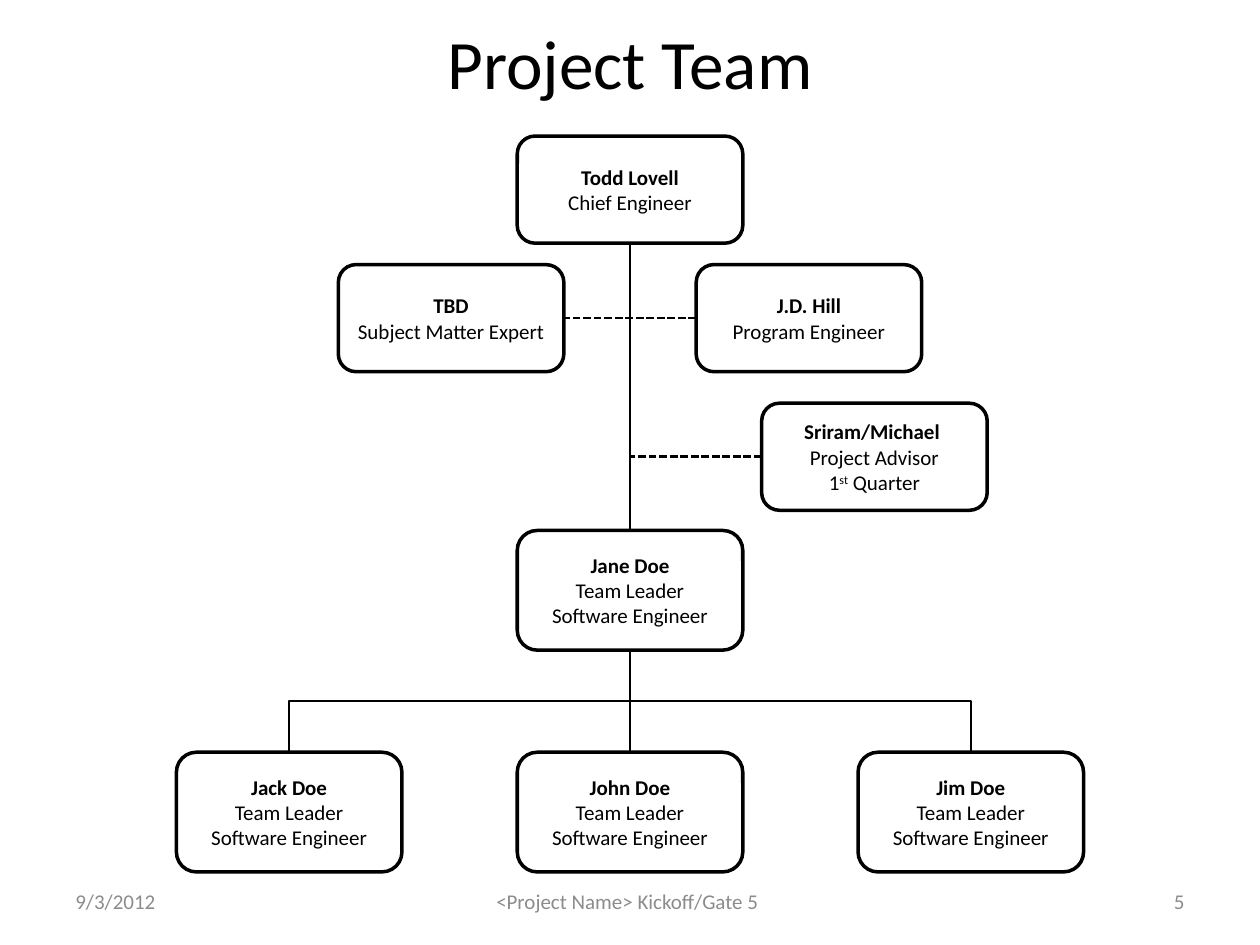
from collections import namedtuple

from lxml.etree import SubElement
from pptx import Presentation
from pptx.dml.color import RGBColor
from pptx.enum.dml import MSO_LINE
from pptx.enum.shapes import MSO_CONNECTOR, MSO_SHAPE
from pptx.enum.text import MSO_ANCHOR, PP_ALIGN
from pptx.oxml.ns import qn
from pptx.util import Inches, Pt

BLACK = RGBColor(0x00, 0x00, 0x00)
WHITE = RGBColor(0xFF, 0xFF, 0xFF)
GRAY = RGBColor(0x8C, 0x8C, 0x8C)
FONT = "Calibri"
TOP, LEFT, BOTTOM, RIGHT = range(4)

CARD_WIDTH = 1.79
SHORT_CARD, TALL_CARD = 0.85, 0.95

Box = namedtuple("Box", "left top width height")


def write_text(shape, lines, size=12, color=BLACK, align=PP_ALIGN.CENTER,
               bold_first=False, inset=None):
    """Fill a shape with one paragraph per line; ^marks^ enclose superscript."""
    frame = shape.text_frame
    frame.word_wrap = True
    frame.vertical_anchor = MSO_ANCHOR.MIDDLE
    if inset is not None:
        frame.margin_left = frame.margin_right = Inches(inset)
        frame.margin_top = frame.margin_bottom = Inches(inset)
    for row, line in enumerate(lines):
        para = frame.add_paragraph() if row else frame.paragraphs[0]
        para.alignment = align
        for part, words in enumerate(line.split("^")):
            span = para.add_run()
            span.text = words
            span.font.name, span.font.size = FONT, Pt(size)
            span.font.bold = bold_first and row == 0
            span.font.color.rgb = color
            if part % 2:
                span._r.get_or_add_rPr().set("baseline", "30000")


def add_label(page, box, text, **text_format):
    label = page.shapes.add_textbox(*map(Inches, box))
    write_text(label, [text], **text_format)


def add_card(page, center, top, height, lines):
    card = page.shapes.add_shape(
        MSO_SHAPE.ROUNDED_RECTANGLE, Inches(center - CARD_WIDTH / 2),
        Inches(top), Inches(CARD_WIDTH), Inches(height))
    card.shadow.inherit = False
    card.fill.solid()
    card.fill.fore_color.rgb = WHITE
    card.line.color.rgb = BLACK
    card.line.width = Pt(2)
    write_text(card, lines, bold_first=True, inset=0.01)
    return card


def add_link(page, kind, start, end=None, stop=(0, 0), dashed=False):
    """Join two (card, side) pairs, or one pair and a free stop point."""
    link = page.shapes.add_connector(kind, 0, 0, *map(Inches, stop))
    link.begin_connect(*start)
    if end:
        link.end_connect(*end)
    link.line.color.rgb = BLACK
    link.line.width = Pt(1.5)
    if dashed:
        link.line.dash_style = MSO_LINE.SQUARE_DOT
    SubElement(link._element.spPr, qn("a:effectLst"))
    return link


def add_branch(page, parent, child):
    """Elbow that leaves the parent downwards and enters the child's top."""
    link = add_link(page, MSO_CONNECTOR.ELBOW, (parent, BOTTOM), (child, TOP))
    start_x, end_x = link.begin_x, link.end_x
    start_y, end_y = link.begin_y, link.end_y
    drop, shift = end_y - start_y, abs(end_x - start_x)
    # The elbow runs sideways first, so turn it by a quarter
    link.left = (start_x + end_x - drop) // 2
    link.top = (start_y + end_y - shift) // 2
    link.width, link.height = drop, shift
    xfrm = link._element.spPr.find(qn("a:xfrm"))
    for flip in ("flipH", "flipV"):
        xfrm.attrib.pop(flip, None)
    if end_x < start_x:
        xfrm.set("rot", "5400000")
    else:
        xfrm.set("rot", "16200000")
        xfrm.set("flipH", "1")


def add_org_chart(page, box):
    middle = box.left + box.width / 2
    engineer = ["Team Leader", "Software Engineer"]

    # Management line
    chief = add_card(page, middle, box.top, SHORT_CARD,
                     ["Todd Lovell", "Chief Engineer"])
    leader = add_card(page, middle, box.top + 3.13, TALL_CARD,
                      ["Jane Doe", *engineer])
    add_link(page, MSO_CONNECTOR.STRAIGHT, (chief, BOTTOM), (leader, TOP))

    # Team leaders, spread over the full width
    step = (box.width - CARD_WIDTH) / 2
    for column, name in enumerate(["Jack Doe", "John Doe", "Jim Doe"]):
        member = add_card(page, middle + (column - 1) * step,
                          box.top + box.height - TALL_CARD, TALL_CARD,
                          [name, *engineer])
        add_branch(page, leader, member)

    # Support on both sides of the management line
    expert, program = [
        add_card(page, middle + offset, box.top + 1.02, SHORT_CARD, lines)
        for offset, lines in [(-1.42, ["TBD", "Subject Matter Expert"]),
                              (1.42, ["J.D. Hill", "Program Engineer"])]]
    add_link(page, MSO_CONNECTOR.STRAIGHT, (program, LEFT), (expert, RIGHT),
             dashed=True)

    # Advisor
    advisor_top = box.top + 2.12
    advisor = add_card(page, middle + 1.94, advisor_top, SHORT_CARD,
                       ["Sriram/Michael ", "Project Advisor", "1^st^ Quarter"])
    add_link(page, MSO_CONNECTOR.STRAIGHT, (advisor, LEFT),
             stop=(middle, advisor_top + SHORT_CARD / 2), dashed=True)


def add_footer(page, box):
    side = 2.33
    add_label(page, Box(box.left, box.top, side, box.height), "9/3/2012",
              color=GRAY, align=PP_ALIGN.LEFT)
    add_label(page, Box(box.left + 3.34, box.top + 0.05, 2.31, 0.3),
              "<Project Name> Kickoff/Gate 5", color=GRAY, align=PP_ALIGN.LEFT)
    add_label(page, Box(box.left + box.width - side, box.top, side, box.height),
              "5", color=GRAY, align=PP_ALIGN.RIGHT)


def main():
    deck = Presentation()
    deck.slide_width, deck.slide_height = Inches(10), Inches(7.5)
    page = deck.slides.add_slide(deck.slide_layouts[6])
    add_label(page, Box(0.5, 0.15, 9, 0.68), "Project Team", size=39.6)
    add_org_chart(page, Box(1.4, 1.08, 7.2, 5.84))
    add_footer(page, Box(0.5, 6.95, 9, 0.4))
    deck.save("out.pptx")


if __name__ == "__main__":
    main()
